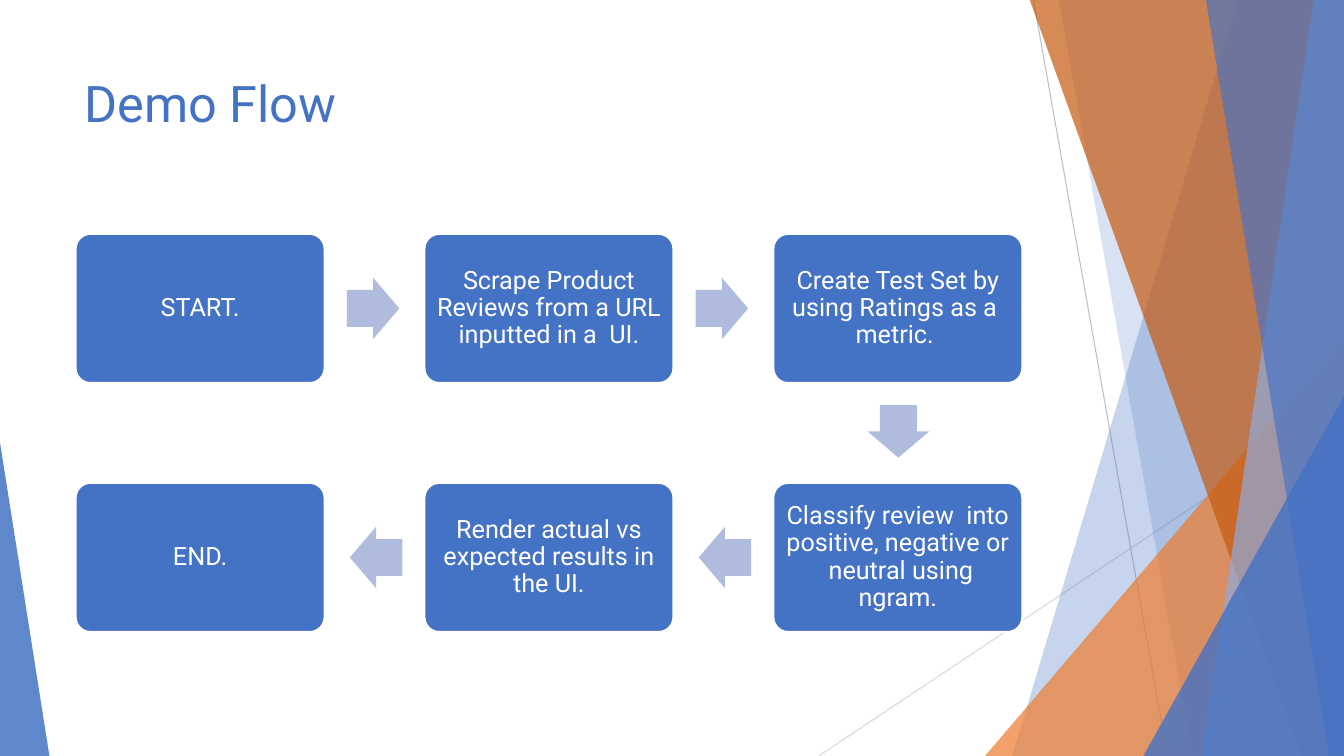
from lxml import etree
from pptx import Presentation
from pptx import util as u
from pptx.dml.color import RGBColor
from pptx.enum import shapes, text
from pptx.oxml.ns import qn

BLUE = RGBColor(0x44, 0x72, 0xC4)
PALE_BLUE = RGBColor(0x8F, 0xAA, 0xDC)
ORANGE = RGBColor(0xED, 0x7D, 0x31)
RUST = RGBColor(0xC5, 0x5A, 0x11)
ARROW = RGBColor(0xB0, 0xBC, 0xDE)
GREY = RGBColor(0xBF, 0xBF, 0xBF)
LIGHT_GREY = RGBColor(0xD9, 0xD9, 0xD9)
WHITE = RGBColor(0xFF, 0xFF, 0xFF)

FONT = "Roboto"
WIDTH, HEIGHT = 13.33, 7.5
LEFT, TOP = 0.75, 2.32
COL_STEP, ROW_STEP = 3.46, 2.47
BOX_W, BOX_H = 2.47, 1.48
ARROW_W, ARROW_H = 0.52, 0.61

# Step text, column, row, and rotation of the arrow to the next step
STEPS = [
    ("START.", 0, 0, 0),
    ("Scrape Product Reviews from a URL inputted in a  UI.", 1, 0, 0),
    ("Create Test Set by using Ratings as a  metric. ", 2, 0, 90),
    ("Classify review  into positive, negative or  neutral using ngram.", 2, 1, 180),
    ("Render actual vs expected results in the UI.", 1, 1, 180),
    ("END.", 0, 1, None),
]
# Arrow centre relative to the top left of its box, by rotation
ARROW_OFFSETS = {0: (2.95, 0.74), 90: (1.24, 1.96), 180: (-0.48, 0.74)}


def paint(sp, color, opacity=100):
    """Give a shape a flat fill, without outline or shadow."""
    sp.shadow.inherit = False
    sp.fill.solid()
    sp.fill.fore_color.rgb = color
    sp.line.fill.background()
    if opacity < 100:
        clr = sp._element.spPr.find(qn("a:solidFill"))[0]
        etree.SubElement(clr, qn("a:alpha"), val=str(opacity * 1000))


def add_preset(s, kind, x, y, w, h, color, adjustments, opacity=100):
    """Add a painted preset shape."""
    sp = s.shapes.add_shape(kind, u.Inches(x), u.Inches(y), u.Inches(w), u.Inches(h))
    for i, value in enumerate(adjustments):
        sp.adjustments[i] = value
    paint(sp, color, opacity)
    return sp


def add_band(s, top_x, bottom_x, color, opacity):
    """Add a band from a slanted left edge to the right slide edge."""
    corners = [(top_x, -0.01), (WIDTH, -0.01), (WIDTH, HEIGHT), (bottom_x, HEIGHT)]
    points = [(u.Inches(x), u.Inches(y)) for x, y in corners]
    builder = s.shapes.build_freeform(*points[0])
    builder.add_line_segments(points[1:], close=True)
    paint(builder.convert_to_shape(), color, opacity)


def add_line(s, x1, y1, x2, y2, color):
    """Add a thin straight line."""
    line = s.shapes.add_connector(
        shapes.MSO_CONNECTOR.STRAIGHT,
        u.Inches(x1), u.Inches(y1), u.Inches(x2), u.Inches(y2))
    line.line.color.rgb = color
    line.line.width = u.Pt(0.75)
    etree.SubElement(line._element.spPr, qn("a:effectLst"))


def set_text(tf, words, size, color):
    """Write one wrapped paragraph and return it."""
    tf.word_wrap = True
    p = tf.paragraphs[0]
    p.text = words
    p.font.name = FONT
    p.font.size = u.Pt(size)
    p.font.color.rgb = color
    return p


def add_backdrop(s):
    """Draw the slanted lines and facets at the slide edges."""
    triangle = shapes.MSO_SHAPE.ISOSCELES_TRIANGLE
    add_line(s, 10.25, 0, 11.58, HEIGHT, GREY)
    add_line(s, WIDTH, 4.03, 8.12, HEIGHT, LIGHT_GREY)
    add_band(s, 12.28, 10.04, BLUE, 30)
    add_band(s, 10.5, 11.83, BLUE, 20)
    add_preset(s, triangle, 9.77, 3.33, 3.56, 4.17, ORANGE, [1], 72)
    add_band(s, 10.21, 12.91, RUST, 70)
    add_band(s, 13.03, 11.92, PALE_BLUE, 70)
    add_band(s, 11.96, 13.18, BLUE, 65)
    add_preset(s, triangle, 11.34, 3.93, 1.99, 3.57, BLUE, [1], 80)
    add_preset(s, triangle, 0, 4.39, 0.49, 3.11, BLUE, [0], 85)


def add_title(s, words):
    """Add the slide title."""
    box = s.shapes.add_textbox(
        u.Inches(0.74), u.Inches(0.67), u.Inches(9.4), u.Inches(1.44))
    set_text(box.text_frame, words, 36, BLUE)


def add_step(s, words, x, y):
    """Add a rounded box that holds one step."""
    sp = add_preset(s, shapes.MSO_SHAPE.ROUNDED_RECTANGLE,
                    x, y, BOX_W, BOX_H, BLUE, [0.1])
    sp.line.color.rgb = WHITE
    sp.line.width = u.Pt(1.5)
    tf = sp.text_frame
    tf.margin_left = tf.margin_right = u.Inches(0.07)
    tf.margin_top = tf.margin_bottom = u.Inches(0.07)
    tf.vertical_anchor = text.MSO_ANCHOR.MIDDLE
    p = set_text(tf, words, 18, WHITE)
    p.alignment = text.PP_ALIGN.CENTER
    p.line_spacing = 0.9


def add_arrow(s, x, y, rotation):
    """Add the arrow that leads from the box at x, y to the next one."""
    dx, dy = ARROW_OFFSETS[rotation]
    sp = add_preset(s, shapes.MSO_SHAPE.RIGHT_ARROW,
                    x + dx - ARROW_W / 2, y + dy - ARROW_H / 2,
                    ARROW_W, ARROW_H, ARROW, [0.6, 0.5])
    sp.rotation = rotation


def main():
    """Build the slide and save it."""
    prs = Presentation()
    prs.slide_width, prs.slide_height = u.Inches(WIDTH), u.Inches(HEIGHT)
    s = prs.slides.add_slide(prs.slide_layouts[6])
    add_backdrop(s)
    add_title(s, "Demo Flow")
    for words, col, row, rotation in STEPS:
        x, y = LEFT + col * COL_STEP, TOP + row * ROW_STEP
        add_step(s, words, x, y)
        if rotation is not None:
            add_arrow(s, x, y, rotation)
    prs.save("out.pptx")


main()
